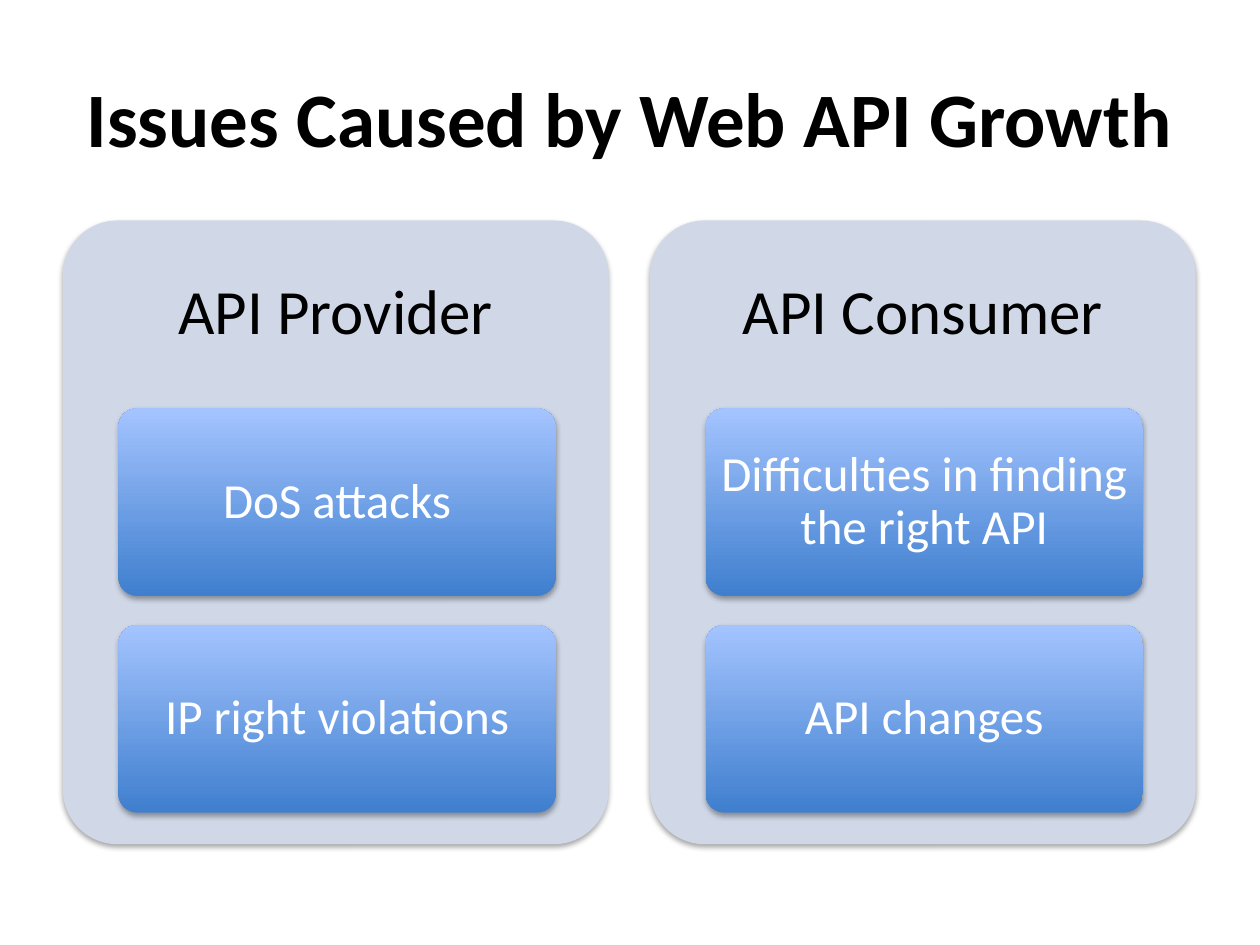
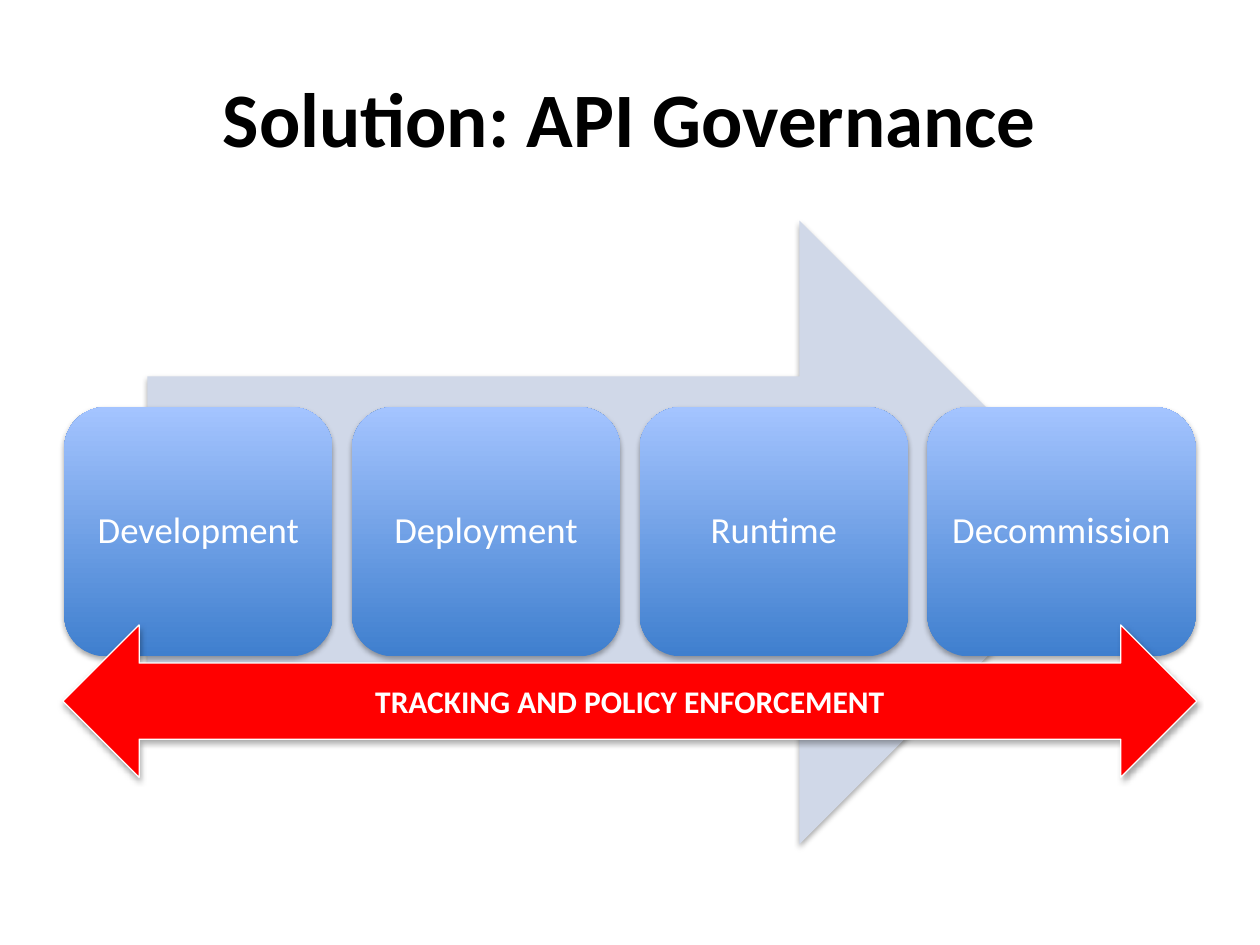
from dataclasses import dataclass

from lxml.etree import SubElement
from pptx import Presentation
from pptx.dml.color import RGBColor as Rgb
from pptx.enum.shapes import MSO_SHAPE as Geo
from pptx.enum.text import MSO_ANCHOR as Anchor, PP_ALIGN as Align
from pptx.oxml.ns import qn
from pptx.slide import Slide
from pptx.text.text import TextFrame
from pptx.util import Inches, Pt

FONT = "Calibri"
HUES = {
    "ink": "000000",
    "white": "FFFFFF",
    "panel": "D0D8E8",
    "deep": "3F7FCE",
    "light": "A4C4FF",
    "alert": "FF0000",
}
PANELS = {
    "API Provider": ["DoS attacks", "IP right violations"],
    "API Consumer": ["Difficulties in finding the right API", "API changes"],
}
STAGES = ["Development", "Deployment", "Runtime", "Decommission"]


@dataclass
class Block:
    geo: Geo
    left: float
    top: float
    width: float
    height: float
    text: str = ""
    size: float = 18
    ink: str = "white"
    bold: bool = False
    fill: str | None = None
    edge: str | None = None
    curve: float | None = None
    pad: float = 0.1
    foot: float = 0
    lead: float = 0.9


def hue(name: str) -> Rgb:
    return Rgb.from_string(HUES[name])


def write(frame: TextFrame, text: str, size: float, ink: str, bold: bool, lead: float) -> None:
    frame.word_wrap = True
    frame.vertical_anchor = Anchor.MIDDLE
    para = frame.paragraphs[0]
    para.alignment = Align.CENTER
    para.line_spacing = lead
    run = para.add_run()
    run.text = text
    run.font.name = FONT
    run.font.size = Pt(size)
    run.font.bold = bold
    run.font.color.rgb = hue(ink)


def shade(shape) -> None:
    shape.shadow.inherit = False
    effects = shape._element.spPr.find(qn("a:effectLst"))
    drop = SubElement(effects, qn("a:outerShdw"), blurRad=str(Pt(3.1)),
                      dist=str(Pt(1.8)), dir="5400000", rotWithShape="0")
    tint = SubElement(drop, qn("a:srgbClr"), val=HUES["ink"])
    SubElement(tint, qn("a:alpha"), val="35000")


def draw(slide: Slide, block: Block) -> None:
    shape = slide.shapes.add_shape(block.geo, Inches(block.left), Inches(block.top),
                                   Inches(block.width), Inches(block.height))
    if block.curve is not None:
        shape.adjustments[0] = block.curve
    if block.fill:
        shape.fill.solid()
        shape.fill.fore_color.rgb = hue(block.fill)
    else:
        shape.fill.gradient()
        shape.fill.gradient_angle = 90
        for stop, name in zip(shape.fill.gradient_stops, ("deep", "light")):
            stop.color.rgb = hue(name)
    if block.edge:
        shape.line.color.rgb = hue(block.edge)
        shape.line.width = Pt(0.75)
    else:
        shape.line.fill.background()
    shade(shape)
    if block.text:
        frame = shape.text_frame
        frame.margin_left = frame.margin_right = frame.margin_top = Inches(block.pad)
        frame.margin_bottom = Inches(block.pad + block.foot)
        write(frame, block.text, block.size, block.ink, block.bold, block.lead)


def start(deck: Presentation, text: str) -> Slide:
    slide = deck.slides.add_slide(deck.slide_layouts[5])
    title = slide.shapes.title
    title.left, title.top = Inches(0.5), Inches(0.3)
    title.width, title.height = Inches(9), Inches(1.25)
    write(title.text_frame, text, 44, "ink", True, 1.0)
    return slide


def issues(deck: Presentation) -> None:
    slide = start(deck, "Issues Caused by Web API Growth")
    for col, (head, items) in enumerate(PANELS.items()):
        left = 0.5 + col * 4.66
        draw(slide, Block(Geo.ROUNDED_RECTANGLE, left, 1.75, 4.33, 4.95, head, 36, "ink",
                          fill="panel", curve=0.1, pad=0.15, foot=3.47))
        for row, item in enumerate(items):
            draw(slide, Block(Geo.ROUNDED_RECTANGLE, left + 0.44, 3.24 + row * 1.72,
                              3.47, 1.49, item, 28, curve=0.1, pad=0.08))


def solution(deck: Presentation) -> None:
    slide = start(deck, "Solution: API Governance")
    draw(slide, Block(Geo.RIGHT_ARROW, 1.17, 1.75, 7.65, 4.95, fill="panel"))
    width = 2.13
    step = (8.98 - width) / (len(STAGES) - 1)
    for col, stage in enumerate(STAGES):
        draw(slide, Block(Geo.ROUNDED_RECTANGLE, 0.51 + col * step, 3.23, width, 1.98,
                          stage, 21, pad=0.09))
    draw(slide, Block(Geo.LEFT_RIGHT_ARROW, 0.5, 4.96, 9, 1.21,
                      "TRACKING AND POLICY ENFORCEMENT", bold=True, fill="alert",
                      edge="white", pad=0.05, lead=1.0))


def main() -> None:
    """Build the two API governance slides."""
    deck = Presentation()
    deck.slide_width, deck.slide_height = Inches(10), Inches(7.5)
    issues(deck)
    solution(deck)
    deck.save("out.pptx")


if __name__ == "__main__":
    main()
